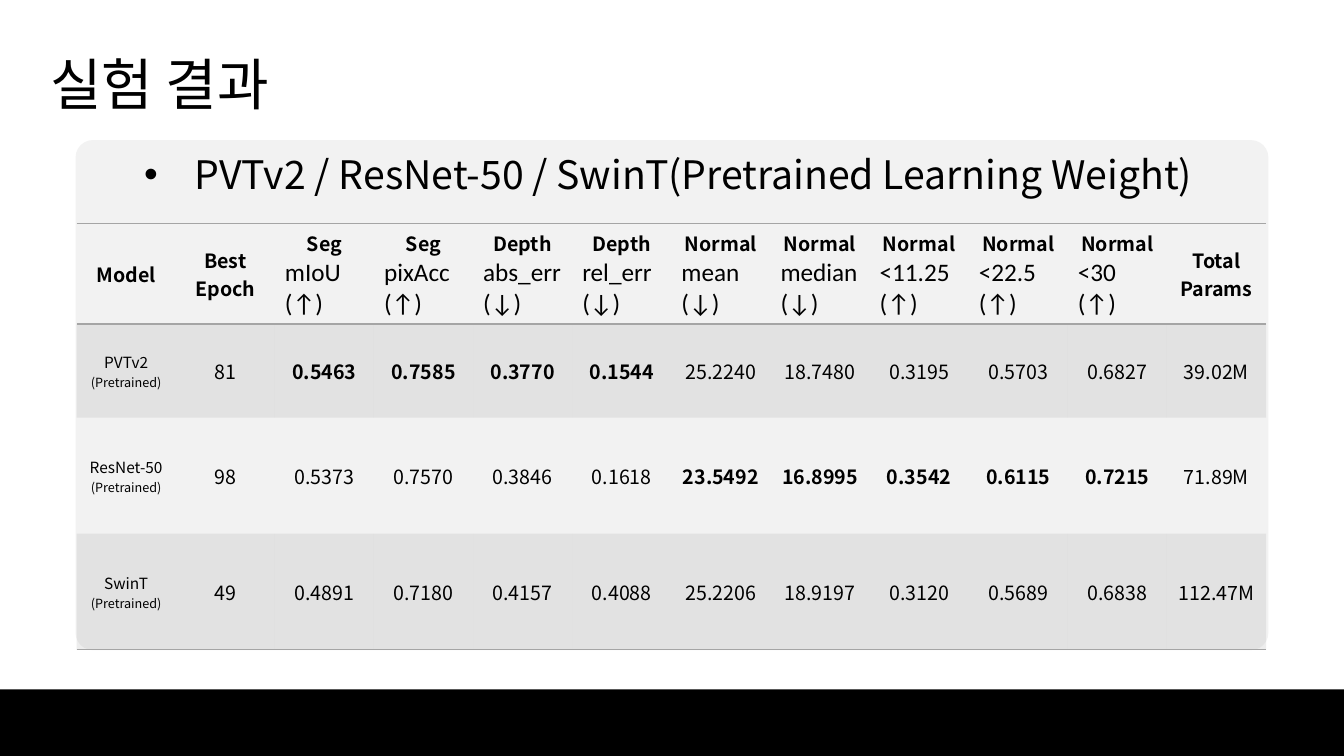
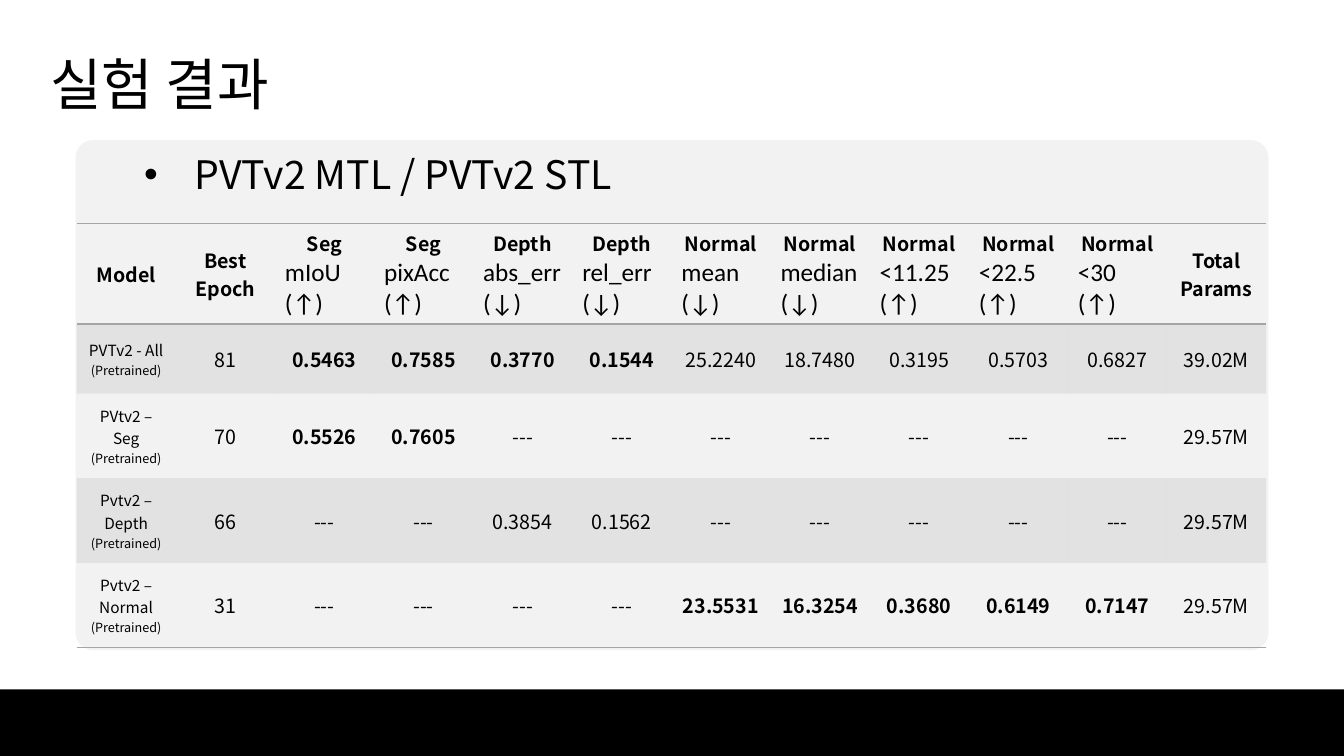
from pptx import Presentation
from pptx import util as u
from pptx.dml.color import RGBColor
from pptx.enum import shapes, text
from pptx.oxml import parse_xml
from pptx.oxml.ns import nsdecls, qn

FONT = "Noto Sans CJK KR"
BLACK = RGBColor(0x00, 0x00, 0x00)
PANEL = RGBColor(0xF2, 0xF2, 0xF2)
GRAY = RGBColor(0xA5, 0xA5, 0xA5)
NO_STYLE = "{2D5ABB26-0587-4C30-8999-92F81FD0307C}"

HEADER = ["Model", "Best Epoch", "Seg\nmIoU (↑)", "Seg\npixAcc (↑)",
          "Depth\nabs_err (↓)", "Depth\nrel_err (↓)",
          "Normal\nmean (↓)", "Normal\nmedian (↓)", "Normal\n<11.25 (↑)",
          "Normal\n<22.5 (↑)", "Normal\n<30\n(↑)", "Total Params"]

# Model name and its values; an asterisk marks a value in bold
PVT_VALUES = "81 *0.5463 *0.7585 *0.3770 *0.1544 25.2240 18.7480 0.3195 0.5703 0.6827 39.02M"
BACKBONES = [
    ("PVTv2", PVT_VALUES),
    ("ResNet-50", "98 0.5373 0.7570 0.3846 0.1618 *23.5492 *16.8995 *0.3542 *0.6115 *0.7215 71.89M"),
    ("SwinT", "49 0.4891 0.7180 0.4157 0.4088 25.2206 18.9197 0.3120 0.5689 0.6838 112.47M"),
]
TASKS = [
    ("PVTv2 - All", PVT_VALUES),
    ("PVtv2 – Seg", "70 *0.5526 *0.7605 --- --- --- --- --- --- --- 29.57M"),
    ("Pvtv2 – Depth", "66 --- --- 0.3854 0.1562 --- --- --- --- --- 29.57M"),
    ("Pvtv2 – Normal", "31 --- --- --- --- *23.5531 *16.3254 *0.3680 *0.6149 *0.7147 29.57M"),
]


class Deck:
    """Holds the shared style and the current slide."""

    def __init__(self):
        self.prs = Presentation()
        self.prs.slide_width, self.prs.slide_height = u.Inches(13.33), u.Inches(7.5)
        self.s = None

    def slide(self, title):
        self.s = self.prs.slides.add_slide(self.prs.slide_layouts[1])
        # Shared backdrop, behind the placeholders
        self.backdrop(shapes.MSO_SHAPE.RECTANGLE, (0, 6.84, 13.33, 0.66), BLACK)
        panel = self.backdrop(shapes.MSO_SHAPE.ROUNDED_RECTANGLE, (0.75, 1.39, 11.83, 5.06), PANEL)
        panel.adjustments[0] = 0.034
        self.placeholder(self.s.shapes.title, (0.4, 0.49, 11.5, 0.76), title, 40,
                         text.MSO_ANCHOR.MIDDLE)

    def backdrop(self, kind, box, color):
        sp = self.s.shapes.add_shape(kind, *map(u.Inches, box))
        sp.shadow.inherit = False
        sp.fill.solid()
        sp.fill.fore_color.rgb = color
        sp.line.fill.background()
        sp.element.getparent().insert(2, sp.element)
        return sp

    def style(self, r, size, bold=False):
        r.font.name, r.font.size, r.font.bold = FONT, u.Pt(size), bold
        r.font.color.rgb = BLACK
        r.font._element.find(qn("a:latin")).addnext(
            parse_xml(f'<a:ea {nsdecls("a")} typeface="{FONT}"/>'))

    def placeholder(self, sp, box, content, size, anchor):
        sp.left, sp.top, sp.width, sp.height = map(u.Inches, box)
        tf = sp.text_frame
        tf.text = content
        tf.word_wrap, tf.auto_size = True, text.MSO_AUTO_SIZE.NONE
        tf.vertical_anchor = anchor
        p = tf.paragraphs[0]
        p.alignment, p.line_spacing, p.space_before = text.PP_ALIGN.LEFT, 0.9, u.Pt(0)
        self.style(p.runs[0], size)
        return p

    def bullet(self, content, width):
        p = self.placeholder(self.s.placeholders[1], (1.33, 1.49, width, 4.75), content, 28,
                             text.MSO_ANCHOR.TOP)
        pPr = p._p.get_or_add_pPr()
        pPr.set("marL", str(u.Inches(0.5)))
        pPr.set("indent", str(u.Inches(-0.5)))
        pPr.append(parse_xml(f'<a:buChar {nsdecls("a")} char="•"/>'))

    def cell(self, c, content, size=14, bold=False, shaded=False):
        c.text = content
        c.vertical_anchor = text.MSO_ANCHOR.MIDDLE
        p = c.text_frame.paragraphs[0]
        p.alignment = text.PP_ALIGN.CENTER
        for r in p.runs:
            self.style(r, size, bold)
        if shaded:
            c.fill.solid()
            c.fill.fore_color.rgb = GRAY
            c.fill._xPr.find(".//" + qn("a:srgbClr")).append(
                parse_xml(f'<a:alpha {nsdecls("a")} val="20000"/>'))
        else:
            c.fill.background()
        return p

    def rule(self, c, *sides):
        tcPr = c._tc.get_or_add_tcPr()
        for i, side in enumerate(sides):
            tcPr.insert(i, parse_xml(
                f'<a:ln{side} {nsdecls("a")} w="{u.Pt(1)}"><a:solidFill>'
                f'<a:srgbClr val="{GRAY}"/></a:solidFill></a:ln{side}>'))

    def table(self, models, heights):
        gf = self.s.shapes.add_table(len(heights), len(HEADER), u.Inches(0.76), u.Inches(2.22),
                                     u.Inches(11.8), u.Inches(sum(heights)))
        tbl = gf.table
        tbl.first_row = tbl.horz_banding = False
        tbl._tbl.tblPr.find(qn("a:tableStyleId")).text = NO_STYLE
        for row, height in zip(tbl.rows, heights):
            row.height = u.Inches(height)
        # Header row
        for j, label in enumerate(HEADER):
            self.cell(tbl.cell(0, j), label, bold=True)
            self.rule(tbl.cell(0, j), "T", "B")
        # Model rows, every other one shaded
        for i, (name, values) in enumerate(models, 1):
            shaded = i % 2 == 1
            r = self.cell(tbl.cell(i, 0), name + " ", 11, shaded=shaded).add_run()
            r.text = "(Pretrained)"
            self.style(r, 9)
            for j, value in enumerate(values.split(), 1):
                self.cell(tbl.cell(i, j), value.lstrip("*"), bold=value.startswith("*"),
                          shaded=shaded)
        for j in range(len(HEADER)):
            self.rule(tbl.cell(len(models), j), "B")


def main():
    deck = Deck()

    # Comparison of backbones
    deck.slide("실험 결과")
    deck.bullet("PVTv2 / ResNet-50 / SwinT(Pretrained Learning Weight)", 10.82)
    deck.table(BACKBONES, [0.8, 0.93, 1.15, 1.15])

    # Multi-task against single-task learning
    deck.slide("실험 결과")
    deck.bullet("PVTv2 MTL / PVTv2 STL", 10.56)
    deck.table(TASKS, [0.81, 0.69, 0.84, 0.84, 0.84])

    deck.prs.save("out.pptx")


if __name__ == "__main__":
    main()
